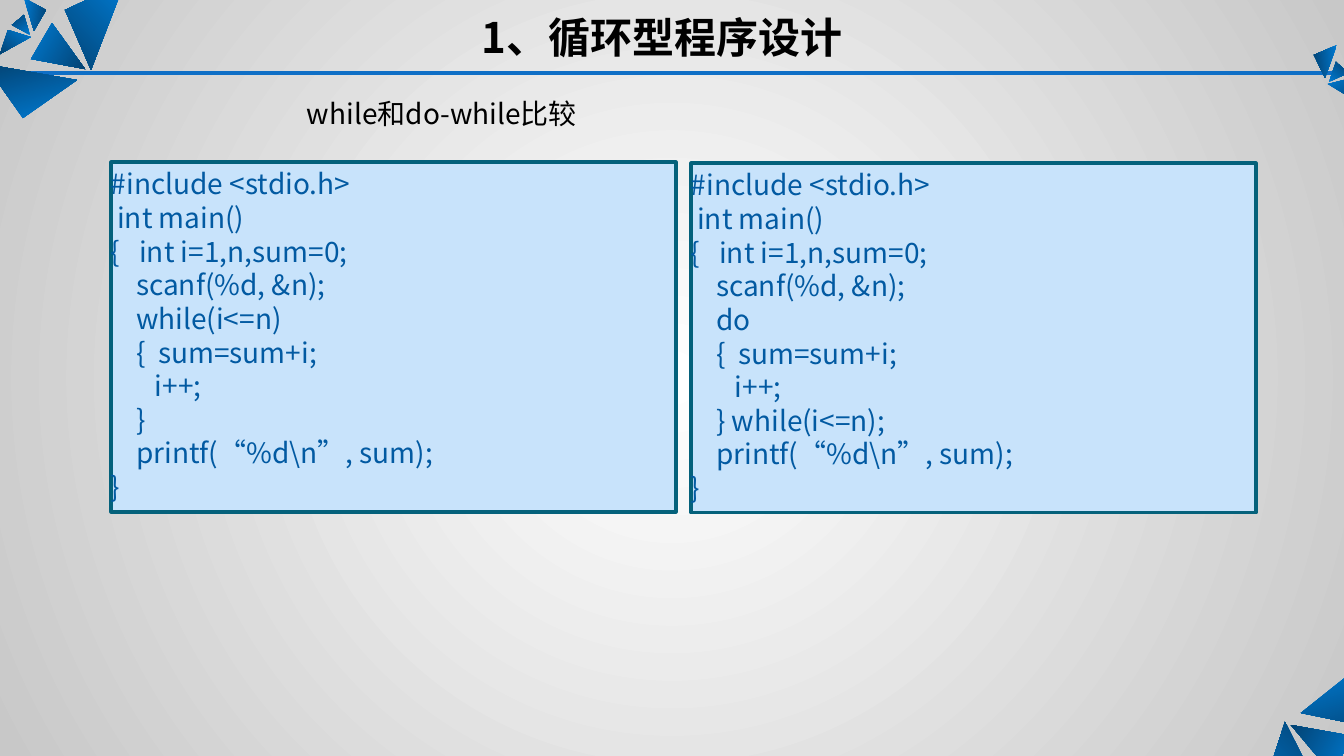
from dataclasses import dataclass

from lxml import etree
from pptx import Presentation
from pptx.dml.color import RGBColor
from pptx.enum.shapes import MSO_CONNECTOR, MSO_SHAPE
from pptx.enum.text import MSO_ANCHOR, PP_ALIGN
from pptx.oxml.ns import qn
from pptx.util import Pt

RECT = MSO_SHAPE.RECTANGLE
STRAIGHT = MSO_CONNECTOR.STRAIGHT
TOP, MIDDLE = MSO_ANCHOR.TOP, MSO_ANCHOR.MIDDLE
LEFT, CENTER = PP_ALIGN.LEFT, PP_ALIGN.CENTER

PX = 12192000 / 1344
FONT = "Noto Sans CJK SC"


@dataclass
class Triangle:
    points: list[tuple[int, int]]
    turn: float


@dataclass
class Label:
    text: str
    box: tuple[int, int, int, int]
    size: int
    bold: bool
    align: PP_ALIGN
    anchor: MSO_ANCHOR


@dataclass
class CodePanel:
    x: int
    y: int
    opening: str
    closing: str


TRIANGLES = [
    Triangle([(1254, 817), (1285, 722), (1319, 789)], 224.2),
    Triangle([(1353, 736), (1291, 725), (1332, 774)], 119.1),
    Triangle([(1356, 669), (1301, 713), (1399, 733)], 343.5),
    Triangle([(125, -18), (91, 70), (65, 10)], 45.5),
    Triangle([(31, 59), (85, 69), (52, 23)], 300.5),
    Triangle([(23, 118), (77, 80), (-15, 64)], 164.9),
    Triangle([(0, 54), (31, 37), (8, 30)], 38),
    Triangle([(24, 15), (30, 35), (12, 25)], 143.1),
    Triangle([(46, 10), (34, 31), (24, -2)], 278.7),
    Triangle([(1358, 102), (1328, 84), (1352, 78)], 325),
    Triangle([(1336, 62), (1329, 82), (1348, 73)], 219.9),
    Triangle([(1314, 55), (1325, 78), (1337, 45)], 84.3),
]

LABELS = [
    Label("while和do-while比较", (297, 93, 857, 40), 20, False, LEFT, MIDDLE),
    Label("1、循环型程序设计", (85, 7, 1154, 60), 30, True, CENTER, TOP),
]

PANELS = [
    CodePanel(111, 162, "while(i<=n)", "}"),
    CodePanel(691, 163, "do", "} while(i<=n);"),
]


def px(n: int) -> int:
    return round(n * PX)


def rgb(color: str) -> RGBColor:
    return RGBColor.from_string(color)


def set_gradient(fill, start: str, end: str) -> None:
    fill.gradient()
    for stop, color in zip(fill.gradient_stops, (start, end)):
        stop.color.rgb = rgb(color)


def style_paragraph(p, size: int, color: str, bold: bool = False) -> None:
    p.font.size = Pt(size)
    p.font.bold = bold
    p.font.color.rgb = rgb(color)
    p.font.name = FONT
    props = p._p.pPr.find(qn("a:defRPr"))
    etree.SubElement(props, qn("a:ea")).set("typeface", FONT)


def paint_background(s) -> None:
    """Fill the slide with a gradient that spreads from its centre."""
    set_gradient(s.background.fill, "FFFFFF", "C8C8C8")
    lin = s._element.find(".//" + qn("a:lin"))
    circle = etree.Element(qn("a:path"), {"path": "circle"})
    etree.SubElement(circle, qn("a:fillToRect"), dict.fromkeys("ltrb", "50000"))
    lin.getparent().replace(lin, circle)


def draw_rule(s) -> None:
    line = s.shapes.add_connector(STRAIGHT, px(3), px(73), px(1349), px(73))
    line.line.color.rgb = rgb("0F6FC6")
    line.line.width = Pt(2.25)
    etree.SubElement(line._element.spPr, qn("a:effectLst"))


def draw_triangle(s, triangle: Triangle) -> None:
    first, *rest = triangle.points
    builder = s.shapes.build_freeform(*first, scale=PX)
    builder.add_line_segments(rest, close=True)
    sp = builder.convert_to_shape()
    sp.shadow.inherit = False
    set_gradient(sp.fill, "007BD3", "034373")
    sp.fill.gradient_angle = -(90 + triangle.turn) % 360
    sp.line.fill.background()


def draw_label(s, label: Label) -> None:
    tf = s.shapes.add_textbox(*map(px, label.box)).text_frame
    tf.word_wrap = True
    tf.vertical_anchor = label.anchor
    p = tf.paragraphs[0]
    p.text = label.text
    p.alignment = label.align
    style_paragraph(p, label.size, "000000", label.bold)


def draw_code(s, panel: CodePanel) -> None:
    sp = s.shapes.add_shape(RECT, px(panel.x), px(panel.y), px(565), px(350))
    sp.shadow.inherit = False
    sp.fill.solid()
    sp.fill.fore_color.rgb = rgb("C8E3FB")
    sp.line.color.rgb = rgb("04617B")
    sp.line.width = Pt(2.25)
    tf = sp.text_frame
    tf.word_wrap = True
    tf.vertical_anchor = TOP
    tf.margin_left = 0
    tf.text = "\n".join([
        "#include <stdio.h>",
        " int main()",
        "{   int i=1,n,sum=0;",
        "    scanf(%d, &n);",
        f"    {panel.opening}",
        "    {  sum=sum+i;",
        "       i++;",
        f"    {panel.closing}",
        "    printf(“%d\\n”, sum);",
        "}",
    ])
    for p in tf.paragraphs:
        p.alignment = LEFT
        style_paragraph(p, 20, "025AA2")


def main() -> None:
    prs = Presentation()
    prs.slide_width, prs.slide_height = px(1344), px(756)
    s = prs.slides.add_slide(prs.slide_layouts[6])
    paint_background(s)
    draw_rule(s)
    for triangle in TRIANGLES:
        draw_triangle(s, triangle)
    for label in LABELS:
        draw_label(s, label)
    for panel in PANELS:
        draw_code(s, panel)
    prs.save("out.pptx")


if __name__ == "__main__":
    main()
